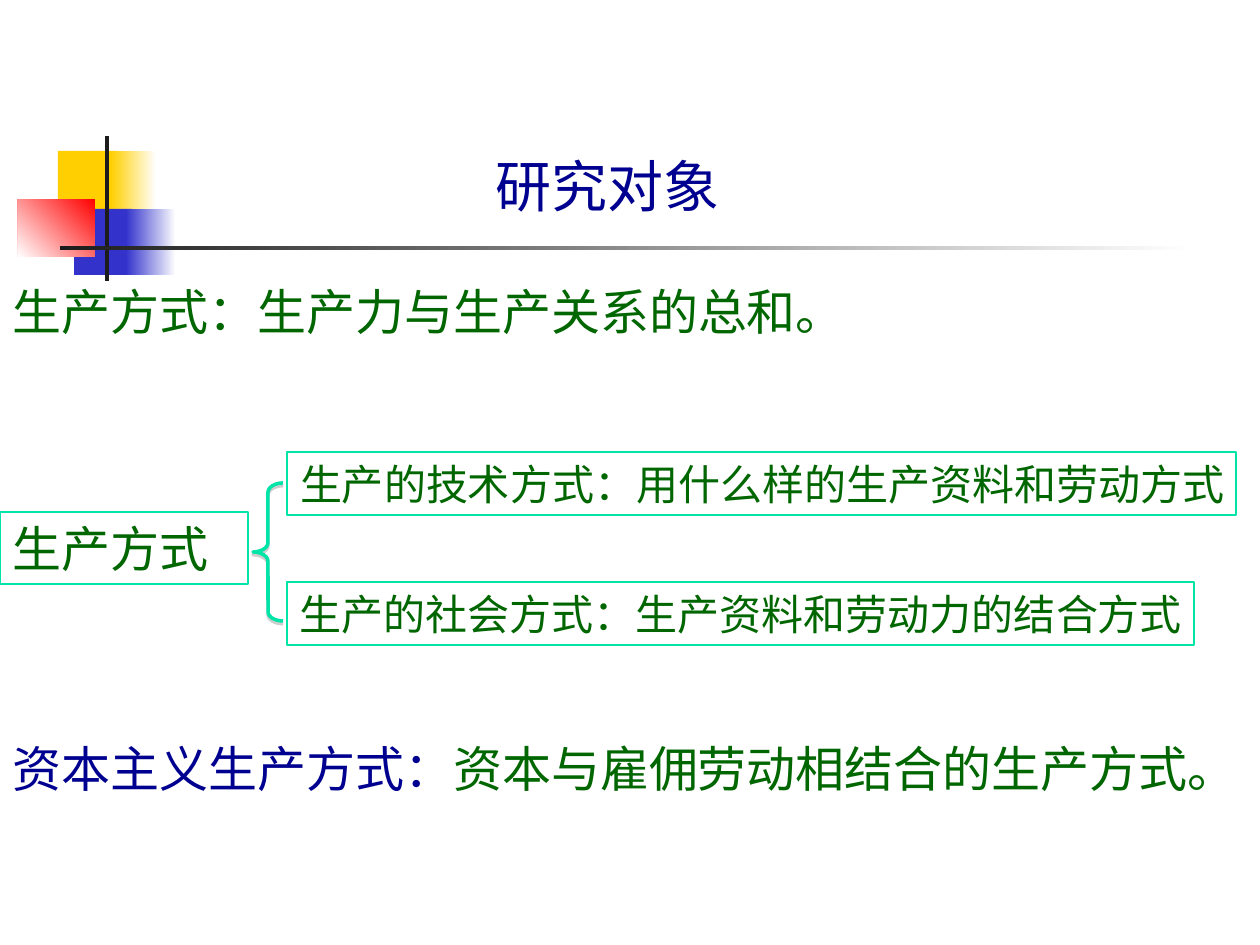
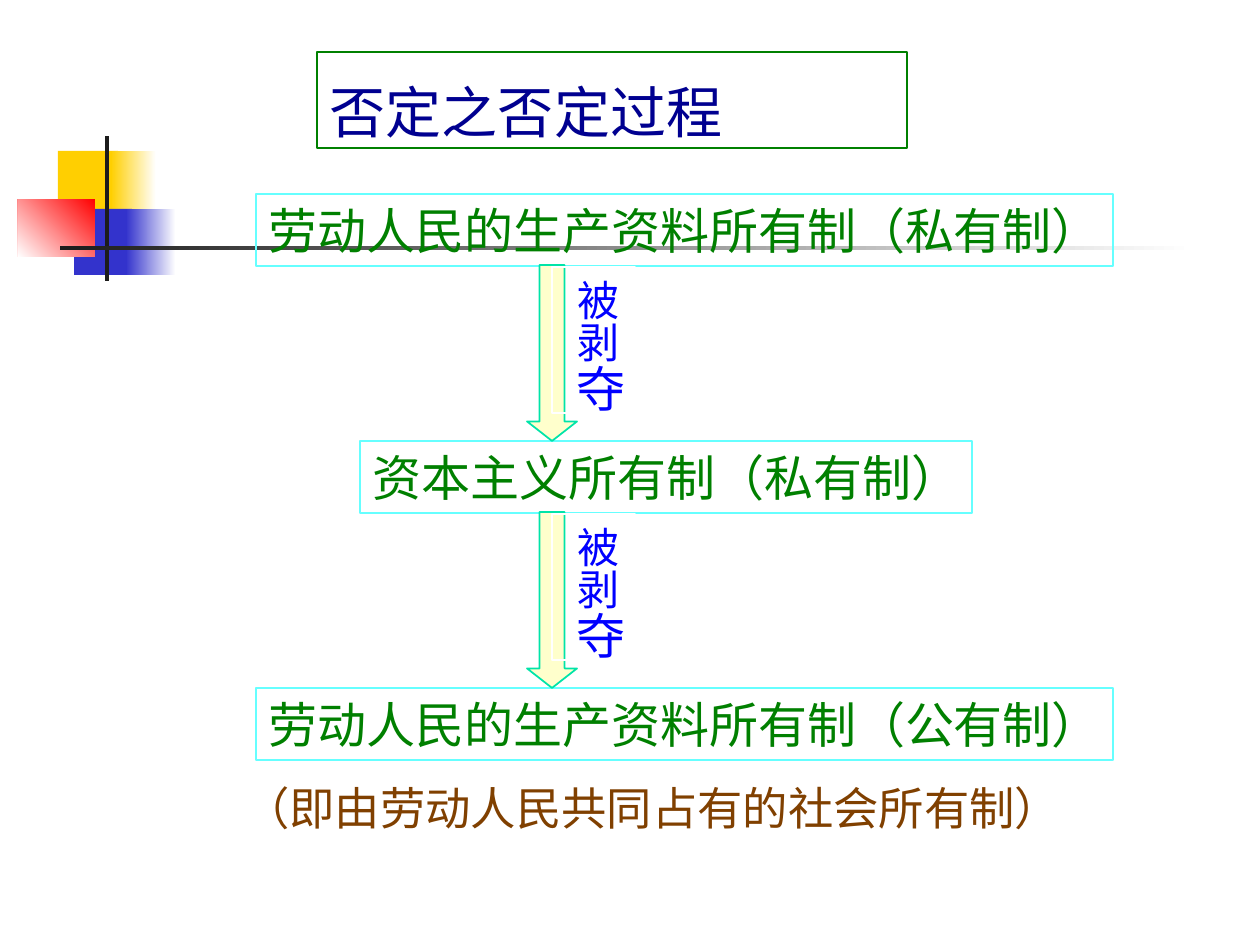
from dataclasses import dataclass

from pptx import Presentation
from pptx.dml.color import RGBColor
from pptx.enum.shapes import MSO_SHAPE as Kind
from pptx.enum.text import MSO_ANCHOR as Anchor, MSO_AUTO_SIZE as Auto, PP_ALIGN as Align
from pptx.oxml import parse_xml
from pptx.oxml.ns import nsdecls, qn
from pptx.util import Emu, Pt

SCALE = 914400 / 126
WIDE, HIGH = 1260, 945
SANS = "Noto Sans CJK JP"
INSET = (13, 6, 13, 6)
HEX = {
    "white": "FFFFFF", "black": "1C1C1C", "gold": "FFCF01", "blue": "3333CC",
    "red": "FF0000", "navy": "000090", "pine": "006600", "green": "008000",
    "mint": "00E4A8", "cyan": "66FFFF", "cream": "FFFFCC", "ink": "0000FF",
    "brown": "804000", "gray": "808080",
}


@dataclass
class Run:
    text: str
    size: float
    color: str
    face: str = SANS


@dataclass
class Block:
    at: tuple[int, int, int, int]
    fill: str
    fade: str = ""
    angle: int = 0


@dataclass
class Box:
    at: tuple[int, int, int, int]
    line: str
    runs: list[Run]


BLOCKS = [
    Block((58, 151, 60, 66), "gold"),
    Block((111, 151, 45, 66), "white", "gold", 180),
    Block((74, 209, 58, 66), "blue"),
    Block((126, 209, 50, 66), "white", "blue", 180),
    Block((18, 199, 77, 58), "red", "white", 225),
    Block((105, 136, 4, 145), "black"),
    Block((60, 246, 1134, 4), "white", "black", 180),
]


def px(num: float) -> Emu:
    return Emu(round(num * SCALE))


def rgb(name: str) -> RGBColor:
    return RGBColor.from_string(HEX[name])


def apply(item, form: dict) -> None:
    for key, val in form.items():
        setattr(item, key, val)


def place(shape, at: tuple) -> None:
    apply(shape, dict(zip(("left", "top", "width", "height"), map(px, at))))


def draw(slide, kind, at: tuple, line: str = "", weight: float = 0.75):
    shape = slide.shapes.add_shape(kind, *map(px, at))
    shape.shadow.inherit = False
    shape.fill.background()
    edge(shape, line, weight)
    return shape


def edge(shape, line: str, weight: float = 0.75) -> None:
    if line:
        shape.line.color.rgb = rgb(line)
        shape.line.width = Pt(weight)
    else:
        shape.line.fill.background()


def setup(frame, anchor, wrap: bool = True, inset: tuple = INSET) -> None:
    sides = ("margin_left", "margin_top", "margin_right", "margin_bottom")
    apply(frame, dict(zip(sides, map(px, inset))))
    apply(frame, {"auto_size": Auto.NONE, "word_wrap": wrap, "vertical_anchor": anchor})


def write(para, runs: list[Run], align=Align.LEFT) -> None:
    para.alignment = align
    for part in runs:
        run = para.add_run()
        run.text = part.text
        run.font.color.rgb = rgb(part.color)
        apply(run.font, {"size": Pt(part.size), "name": part.face, "bold": False})
        east = parse_xml(f'<a:ea {nsdecls("a")} typeface="{part.face}"/>')
        run.font._element.find(qn("a:latin")).addnext(east)


def decorate(prs, slide) -> None:
    """Draw the corner blocks and rules, then hand them to the master."""
    tree = prs.slide_master.shapes.element
    for block in BLOCKS:
        shape = draw(slide, Kind.RECTANGLE, block.at)
        if block.fade:
            shape.fill.gradient()
            shape.fill.gradient_angle = block.angle
            for stop, name in zip(shape.fill.gradient_stops, (block.fill, block.fade)):
                stop.color.rgb = rgb(name)
        else:
            shape.fill.solid()
            shape.fill.fore_color.rgb = rgb(block.fill)
        tree.append(shape.element)


def head(slide, at: tuple, run: Run, align, line: str = "") -> None:
    title = slide.shapes.title
    place(title, at)
    setup(title.text_frame, Anchor.BOTTOM, inset=(13, 6, 13, 3))
    write(title.text_frame.paragraphs[0], [run], align)
    edge(title, line)


def body(slide, at: tuple, paras: list[list[Run]], align, pitch: float, gap: float = 0) -> None:
    holder = slide.placeholders[1]
    place(holder, at)
    frame = holder.text_frame
    setup(frame, Anchor.TOP)
    for num, runs in enumerate(paras):
        para = frame.add_paragraph() if num else frame.paragraphs[0]
        props = para._p.get_or_add_pPr()
        props.set("marL", "0")
        props.set("indent", "0")
        props.append(parse_xml(f'<a:buNone {nsdecls("a")}/>'))
        apply(para, {"line_spacing": Pt(pitch), "space_before": Pt(gap if num else 0)})
        write(para, runs, align)


def panel(slide, box: Box) -> None:
    shape = draw(slide, Kind.RECTANGLE, box.at, box.line)
    setup(shape.text_frame, Anchor.MIDDLE, wrap=False)
    write(shape.text_frame.paragraphs[0], box.runs)


def brace(slide, at: tuple) -> None:
    shape = draw(slide, Kind.LEFT_BRACE, at, "mint", 2)
    shape.adjustments[0] = 0.31
    shape.element.spPr.find(qn("a:effectLst")).append(parse_xml(
        f'<a:outerShdw {nsdecls("a")} blurRad="0" dist="{Pt(1.6)}" dir="5400000">'
        f'<a:srgbClr val="{HEX["gray"]}"><a:alpha val="38000"/></a:srgbClr></a:outerShdw>'))


def step(slide, top: int) -> None:
    """Downward arrow with its upright label."""
    arrow = draw(slide, Kind.RIGHT_ARROW, (464, top + 63, 176, 50), "mint", 1)
    arrow.rotation = 90
    arrow.adjustments[0], arrow.adjustments[1] = 0.5, 0.39
    arrow.fill.solid()
    arrow.fill.fore_color.rgb = rgb("cream")
    label = draw(slide, Kind.RECTANGLE, (552, top + 2, 83, 146), "white")
    setup(label.text_frame, Anchor.TOP, wrap=False, inset=(6, 13, 6, 13))
    label.text_frame._txBody.bodyPr.set("vert", "eaVert")
    write(label.text_frame.paragraphs[0], [Run("被剥", 24, "ink"), Run("夺", 28, "ink")])


def subject(slide) -> None:
    head(slide, (392, 135, 432, 87), Run("研究对象", 32, "navy", "Roboto"), Align.CENTER)
    body(slide, (0, 273, WIDE, 670), [
        [Run("生产方式：生产力与生产关系的总和。", 28, "pine")],
        [Run("资本主义生产方式：", 28, "navy"),
         Run("资本与雇佣劳动相结合的生产方式。", 28, "pine")],
    ], Align.JUSTIFY, 35, 226)
    for box in (
        Box((287, 452, 949, 63), "mint", [Run("生产的技术方式：用什么样的生产资料和劳动方式", 24, "pine")]),
        Box((287, 582, 907, 63), "mint", [Run("生产的社会方式：生产资料和劳动力的结合方式", 24, "pine")]),
        Box((0, 512, 248, 72), "mint", [Run("生产方式", 28, "pine")]),
    ):
        panel(slide, box)
    brace(slide, (253, 483, 30, 138))


def process(slide) -> None:
    head(slide, (317, 52, 590, 96),
         Run("否定之否定过程", 32, "navy", "Noto Sans CJK SC"), Align.LEFT, "green")
    body(slide, (231, 776, 873, 98),
         [[Run("（即由劳动人民共同占有的社会所有制）", 25.9, "brown")]], Align.LEFT, 30)
    # Three stages at an even pitch, with an arrow between each pair
    first, pitch = 194, 247
    stages = [
        (256, 857, "劳动人民的生产资料所有制（私有制）"),
        (360, 612, "资本主义所有制（私有制）"),
        (256, 857, "劳动人民的生产资料所有制（公有制）"),
    ]
    for num, (left, width, text) in enumerate(stages):
        at = (left, first + num * pitch, width, 72)
        panel(slide, Box(at, "cyan", [Run(text, 28, "green")]))
    for num in range(len(stages) - 1):
        step(slide, first + 71 + num * pitch)


def main() -> None:
    prs = Presentation()
    prs.slide_width, prs.slide_height = px(WIDE), px(HIGH)
    layout = prs.slide_layouts[1]
    for num, build in enumerate((subject, process)):
        slide = prs.slides.add_slide(layout)
        if num == 0:
            decorate(prs, slide)
        build(slide)
    prs.save("out.pptx")


if __name__ == "__main__":
    main()
